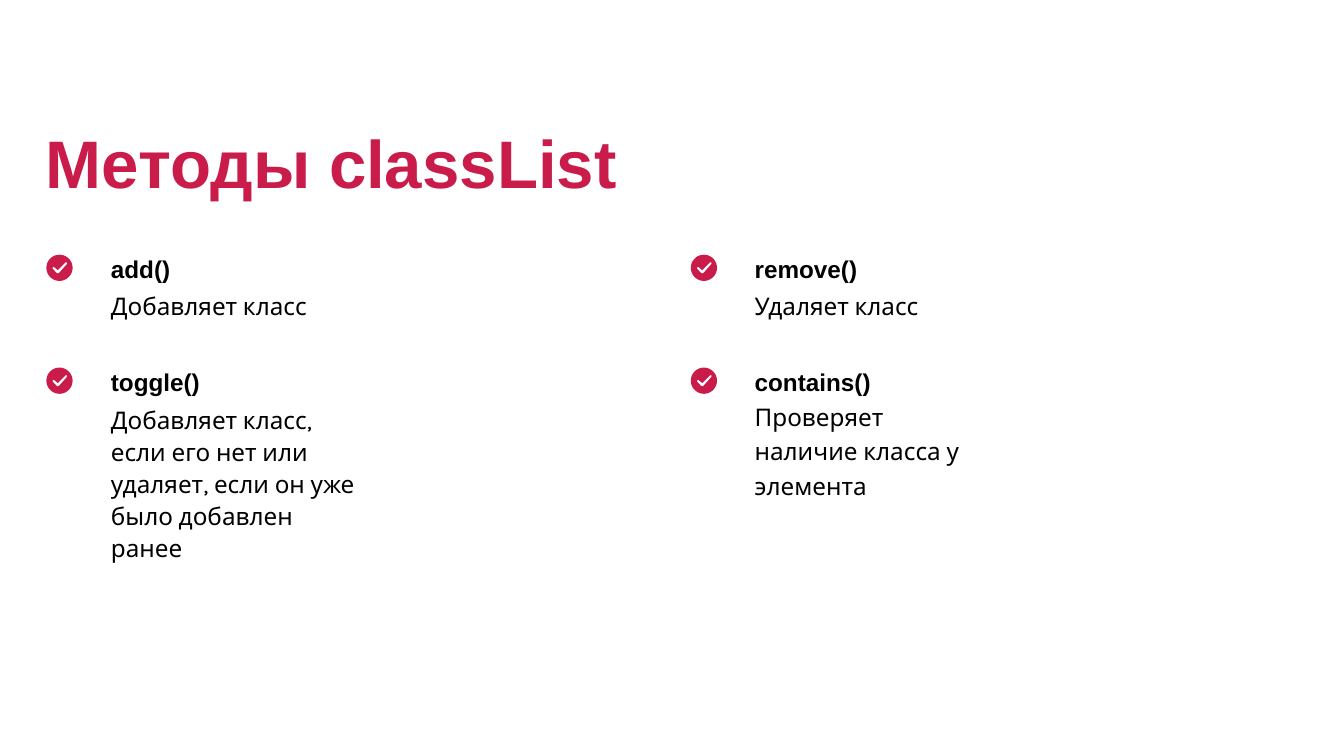
from dataclasses import dataclass
from math import cos, pi, sin

from lxml import etree
from pptx import Presentation
from pptx.dml.color import RGBColor
from pptx.enum.text import MSO_ANCHOR, MSO_AUTO_SIZE, PP_ALIGN
from pptx.oxml.ns import qn
from pptx.util import Pt

PX = 9144
TOP = MSO_ANCHOR.TOP
LEFT = PP_ALIGN.LEFT
FIXED = MSO_AUTO_SIZE.NONE


@dataclass
class Theme:
    red: RGBColor = RGBColor(0xC9, 0x1C, 0x4B)
    black: RGBColor = RGBColor(0, 0, 0)
    head: str = "Arial"
    body: str = "Karla"
    big: int = 72
    small: int = 26


theme = Theme()


def place(shape, x, y, w, h, inset):
    shape.left, shape.top, shape.width, shape.height = x * PX, y * PX, w * PX, h * PX
    frame = shape.text_frame
    frame.margin_left = frame.margin_right = frame.margin_bottom = 0
    frame.margin_top = inset * PX
    frame.vertical_anchor = TOP
    frame.auto_size = FIXED
    frame.word_wrap = True
    return frame


def style(run, name, size, color, bold):
    run.font.name = name
    run.font.size = Pt(size)
    run.font.color.rgb = color
    run.font.bold = bold


deck = Presentation()
deck.slide_width = 2000 * PX
deck.slide_height = 1125 * PX
slide = deck.slides.add_slide(deck.slide_layouts[3])
title, *bodies = slide.placeholders

frame = place(title, 68, 171, 1602, 189, 10)
frame.text = "Методы classList"
line = frame.paragraphs[0]
line.alignment = LEFT
style(line.runs[0], theme.head, theme.big, theme.red, True)

columns = [
    (165, 385, 474, [
        (0, 1, [("add()", True)]),
        (9, 1, [("Добавляет класс", False)]),
        (50, 1, [("toggle()", True)]),
        (6, 1.1, [("Добавляет класс, если его нет или удаляет, если он уже "
                   "было добавлен ранее", False)]),
    ]),
    (1123, 333, 382, [
        (0, 1, [("remove()", True)]),
        (9, 1, [("Удаляет класс", False)]),
        (44, 1.19, [("contains() ", True),
                    ("Проверяет наличие класса у элемента", False)]),
    ]),
]

for body, (x, width, height, lines) in zip(bodies, columns):
    frame = place(body, x, 362, width, height, 16)
    for i, (gap, pitch, parts) in enumerate(lines):
        line = frame.add_paragraph() if i else frame.paragraphs[0]
        props = line._p.get_or_add_pPr()
        props.set("marL", "0")
        props.set("indent", "0")
        etree.SubElement(props, qn("a:buNone"))
        line.space_before = Pt(gap)
        line.line_spacing = pitch
        for text, bold in parts:
            run = line.add_run()
            run.text = text
            face = theme.head if bold else theme.body
            style(run, face, theme.small, theme.black, bold)

SIDES = 36
disc = [(195 + 195 * cos(2 * pi * i / SIDES), 195 + 195 * sin(2 * pi * i / SIDES))
        for i in range(SIDES)]
tick = [(110, 180), (170, 230), (290, 110), (310, 120), (305, 140), (190, 270),
        (170, 280), (150, 270), (95, 210), (90, 195)]

for x in (69, 1028):
    for y in (379, 547):
        pen = slide.shapes.build_freeform(*disc[0], scale=PX / 10)
        pen.add_line_segments(disc[1:])
        pen.move_to(*tick[0])
        pen.add_line_segments(tick[1:])
        mark = pen.convert_to_shape(x * PX, y * PX)
        mark.shadow.inherit = False
        mark.fill.solid()
        mark.fill.fore_color.rgb = theme.red
        mark.line.fill.background()

deck.save("out.pptx")
